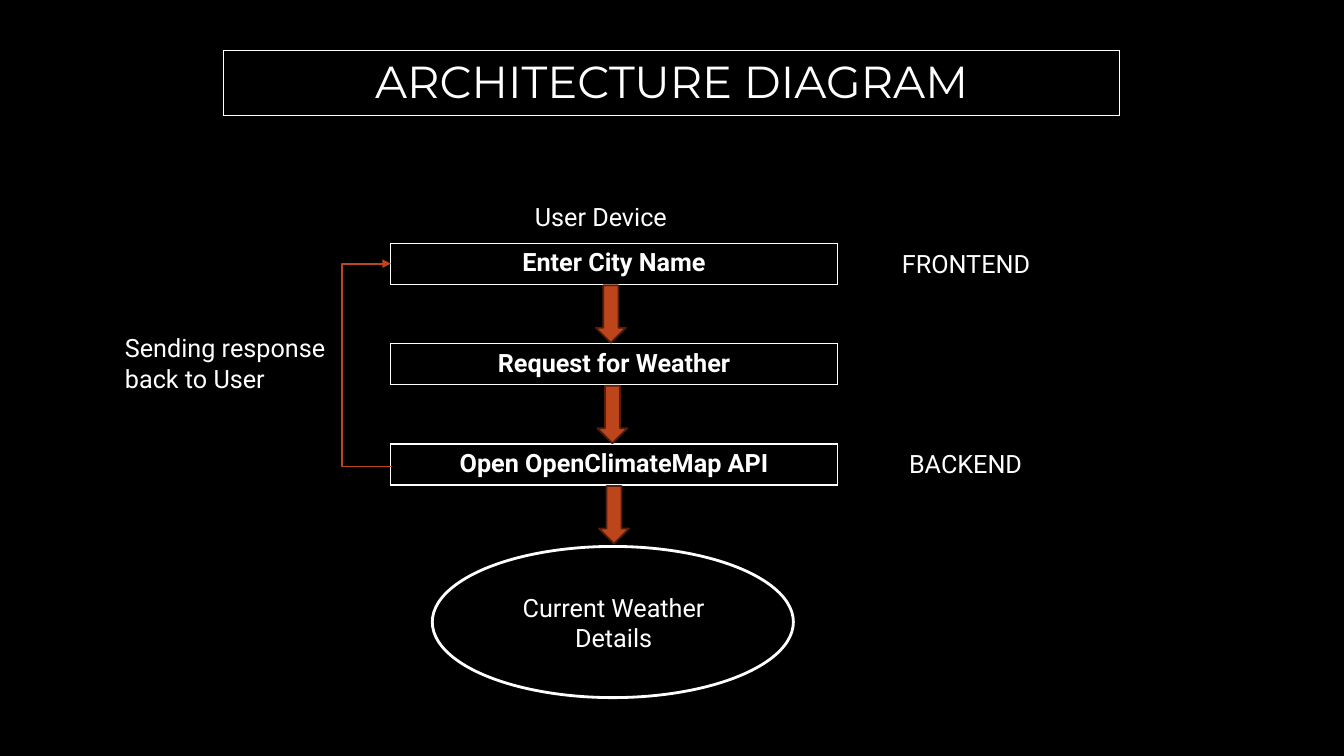
from dataclasses import dataclass

from lxml.etree import SubElement
from pptx import Presentation
from pptx.dml.color import RGBColor
from pptx.enum.shapes import MSO_CONNECTOR as Connector, MSO_SHAPE as Shape
from pptx.enum.text import PP_ALIGN as Align
from pptx.oxml.ns import qn
from pptx.util import Cm, Pt


@dataclass(frozen=True)
class Theme:
    ground: RGBColor = RGBColor(0, 0, 0)
    ink: RGBColor = RGBColor(255, 255, 255)
    accent: RGBColor = RGBColor(0xBC, 0x45, 0x1B)
    accent_edge: RGBColor = RGBColor(0x52, 0x1E, 0x0C)
    title_font: str = "Montserrat"
    body_font: str = "Roboto"
    title_size: int = 32
    body_size: int = 18


@dataclass(frozen=True)
class Box:
    left: float
    top: float
    width: float
    height: float

    def lengths(self):
        return Cm(self.left), Cm(self.top), Cm(self.width), Cm(self.height)

    @property
    def center(self):
        return self.left + self.width / 2

    @property
    def middle(self):
        return self.top + self.height / 2

    @property
    def bottom(self):
        return self.top + self.height


THEME = Theme()
STEPS = ["Enter City Name", "Request for Weather", "Open OpenClimateMap API"]
STEP_HEIGHT = 1.03
STEP_PITCH = 2.53
ARROW_WIDTH, ARROW_HEIGHT = 0.76, 1.45


def write(frame, lines, align=Align.LEFT, bold=False, font=THEME.body_font, size=THEME.body_size):
    frame.word_wrap = True
    for index, line in enumerate(lines):
        para = frame.paragraphs[0] if index == 0 else frame.add_paragraph()
        para.alignment = align
        span = para.add_run()
        span.text = line
        span.font.name = font
        span.font.size = Pt(size)
        span.font.bold = bold
        span.font.color.rgb = THEME.ink


def paint(shape, fill, line, width):
    shape.shadow.inherit = False
    shape.fill.solid()
    shape.fill.fore_color.rgb = fill
    shape.line.color.rgb = line
    shape.line.width = Pt(width)


def add_label(page, box, *lines, align=Align.LEFT):
    label = page.shapes.add_textbox(*box.lengths())
    write(label.text_frame, lines, align)


def border(cell):
    properties = cell._tc.get_or_add_tcPr()
    for index, side in enumerate(("lnL", "lnR", "lnT", "lnB")):
        edge = SubElement(properties, qn(f"a:{side}"), w=str(Pt(1)))
        fill = SubElement(edge, qn("a:solidFill"))
        SubElement(fill, qn("a:srgbClr"), val=str(THEME.ink))
        properties.insert(index, edge)


def add_framed_cell(page, box):
    table = page.shapes.add_table(1, 1, *box.lengths()).table
    table.first_row = table.horz_banding = False
    cell = table.cell(0, 0)
    cell.fill.background()
    border(cell)
    return cell


def add_title(page, box):
    cell = add_framed_cell(page, box)
    write(cell.text_frame, ["ARCHITECTURE DIAGRAM"], Align.CENTER,
          font=THEME.title_font, size=THEME.title_size)


def add_step(page, box, text):
    cell = add_framed_cell(page, box)
    cell.fill.solid()
    cell.fill.fore_color.rgb = THEME.ground
    write(cell.text_frame, [text], Align.CENTER, bold=True)


def add_down_arrow(page, step, center):
    box = Box(center - ARROW_WIDTH / 2, step.bottom + 0.03, ARROW_WIDTH, ARROW_HEIGHT)
    arrow = page.shapes.add_shape(Shape.DOWN_ARROW, *box.lengths())
    paint(arrow, THEME.accent, THEME.accent_edge, 1.25)


def add_result(page, box):
    ellipse = page.shapes.add_shape(Shape.OVAL, *box.lengths())
    paint(ellipse, THEME.ground, THEME.ink, 2)
    caption = Box(box.center - 2.62, box.top + 1.02, 5.28, 1.8)
    add_label(page, caption, "Current Weather Details", align=Align.CENTER)


def add_response(page, source, target, detour=1.25, overlap=0.03):
    link = page.shapes.add_connector(
        Connector.ELBOW,
        Cm(source.left + overlap), Cm(source.middle + 0.05),
        Cm(target.left), Cm(target.middle),
    )
    link.line.color.rgb = THEME.accent
    link.line.width = Pt(1.25)
    SubElement(link.line._get_or_add_ln(), qn("a:tailEnd"), type="triangle")
    properties = link._element.spPr
    guides = properties.find(qn("a:prstGeom")).find(qn("a:avLst"))
    bend = round(detour / overlap * 100000)
    SubElement(guides, qn("a:gd"), name="adj1", fmla=f"val {bend}")
    SubElement(properties, qn("a:effectLst"))


def add_flow(page, box):
    steps = [
        Box(box.left, box.top + index * STEP_PITCH, box.width, STEP_HEIGHT)
        for index in range(len(STEPS))
    ]
    for step, text in zip(steps, STEPS):
        add_step(page, step, text)
    add_result(page, Box(box.center - 4.58, box.bottom - 3.81, 9.1, 3.81))
    for index, step in enumerate(steps):
        add_down_arrow(page, step, box.center - 0.08 + index * 0.04)
    first, last = steps[0], steps[-1]
    add_label(page, Box(box.left + 3.38, first.top - 1.19, 4.27, 1.02), "User Device")
    add_label(page, Box(box.left + 12.63, first.top, 5.74, 1.04), "FRONTEND")
    add_label(page, Box(box.left + 12.81, last.top - 0.03, 5.28, 1.04), "BACKEND")
    add_response(page, last, first)
    add_label(page, Box(box.left - 6.95, first.top + 2.13, 6.93, 1.8), "Sending response", "back to User")


def main():
    deck = Presentation()
    deck.slide_width, deck.slide_height = Cm(33.87), Cm(19.05)
    page = deck.slides.add_slide(deck.slide_layouts[6])
    page.background.fill.solid()
    page.background.fill.fore_color.rgb = THEME.ground
    add_title(page, Box(5.64, 1.27, 22.58, 1.6))
    add_flow(page, Box(9.85, 6.13, 11.25, 11.45))
    deck.save("out.pptx")


if __name__ == "__main__":
    main()
